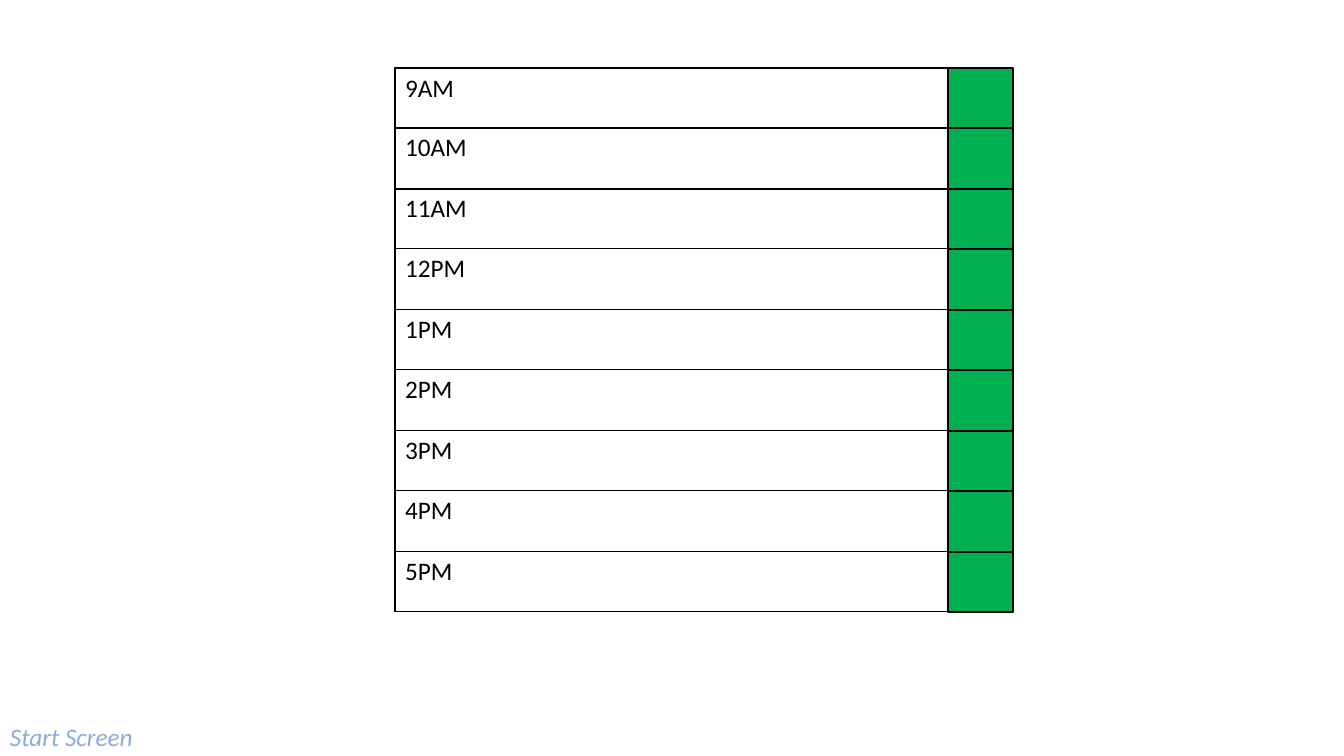
import pptx
import pptx.dml.color
import pptx.enum.shapes
import pptx.enum.text
import pptx.oxml
import pptx.oxml.ns
import pptx.util

PX = 914400 / 100.8


def px(n):
    return pptx.util.Emu(round(n * PX))


def rgb(value):
    return pptx.dml.color.RGBColor.from_string(value)


class Deck:
    font, size = "Calibri", 18
    ink, line_width = "000000", 1

    def __init__(self, width, height):
        self.prs = pptx.Presentation()
        self.prs.slide_width, self.prs.slide_height = px(width), px(height)
        self.s = self.prs.slides.add_slide(self.prs.slide_layouts[6])

    def run(self, p, text, color, italic=False):
        r = p.add_run()
        r.text = text
        r.font.name = self.font
        r.font.size = pptx.util.Pt(self.size)
        r.font.bold = False
        r.font.italic = italic
        r.font.color.rgb = rgb(color)

    def text(self, x, y, w, h, text, color, italic=False):
        sp = self.s.shapes.add_textbox(px(x), px(y), px(w), px(h))
        tf = sp.text_frame
        tf.word_wrap = True
        tf.auto_size = pptx.enum.text.MSO_AUTO_SIZE.SHAPE_TO_FIT_TEXT
        self.run(tf.paragraphs[0], text, color, italic)

    def rect(self, x, y, w, h, fill):
        kind = pptx.enum.shapes.MSO_SHAPE.RECTANGLE
        sp = self.s.shapes.add_shape(kind, px(x), px(y), px(w), px(h))
        sp.shadow.inherit = False
        sp.fill.solid()
        sp.fill.fore_color.rgb = rgb(fill)
        sp.line.color.rgb = rgb(self.ink)
        sp.line.width = pptx.util.Pt(self.line_width)

    def borders(self, cell):
        # Borders must precede the fill in the cell properties
        tc_pr = cell._tc.get_or_add_tcPr()
        for i, side in enumerate(("lnL", "lnR", "lnT", "lnB")):
            tc_pr.insert(i, pptx.oxml.parse_xml(
                f'<a:{side} {pptx.oxml.ns.nsdecls("a")} w="{pptx.util.Pt(self.line_width)}">'
                f'<a:solidFill><a:srgbClr val="{self.ink}"/></a:solidFill></a:{side}>'))

    def column(self, x, y, w, heights, labels):
        frame = self.s.shapes.add_table(
            len(labels), 1, px(x), px(y), px(w), px(sum(heights)))
        table = frame.table
        table.first_row = table.horz_banding = False
        table.columns[0].width = px(w)
        for row, height, label in zip(table.rows, heights, labels):
            row.height = px(height)
            cell = row.cells[0]
            cell.fill.background()
            self.run(cell.text_frame.paragraphs[0], label, self.ink)
            self.borders(cell)


deck = Deck(1344, 756)

# Screen label
deck.text(0, 716, 238, 40, "Start Screen", "8FAADC", italic=True)

# Hours of the day, in equal rows
hours = [f"{(h - 1) % 12 + 1}{'AM' if h < 12 else 'PM'}" for h in range(9, 18)]
top, total = 68, 544
edges = [top + round(i * total / len(hours)) for i in range(len(hours) + 1)]
heights = [low - high for high, low in zip(edges, edges[1:])]
deck.column(395, top, 553, heights, hours)

# Availability block beside each hour
for y, h in zip(edges, heights):
    deck.rect(948, y, 65, h, "00B050")

deck.prs.save("out.pptx")
